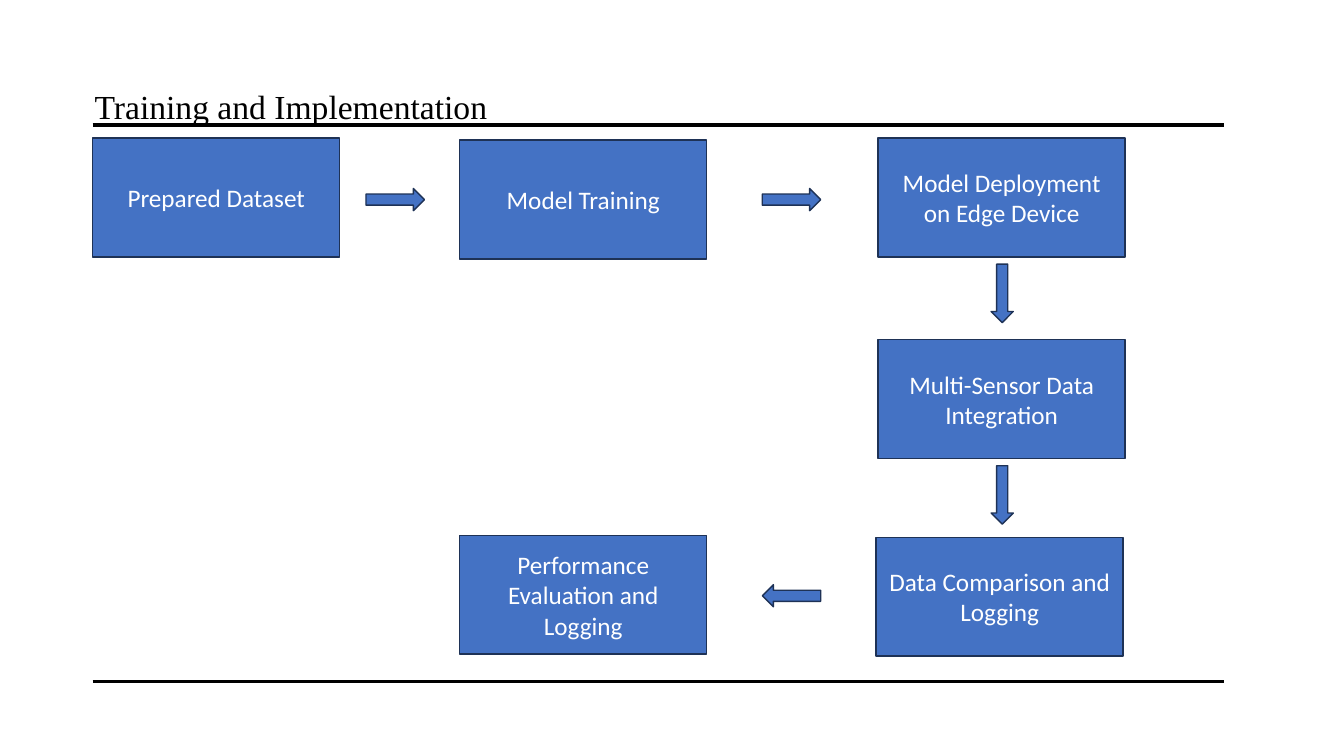
from dataclasses import dataclass

from lxml import etree
from pptx import Presentation
from pptx.dml.color import RGBColor
from pptx.enum.shapes import MSO_CONNECTOR, MSO_SHAPE
from pptx.enum.text import MSO_ANCHOR, MSO_AUTO_SIZE, PP_ALIGN
from pptx.oxml.ns import qn
from pptx.util import Inches, Pt

RECTANGLE = MSO_SHAPE.RECTANGLE
RIGHT_ARROW = MSO_SHAPE.RIGHT_ARROW
STRAIGHT = MSO_CONNECTOR.STRAIGHT
CENTER = PP_ALIGN.CENTER
LEFT = PP_ALIGN.LEFT
MIDDLE = MSO_ANCHOR.MIDDLE
GROW = MSO_AUTO_SIZE.SHAPE_TO_FIT_TEXT


@dataclass(frozen=True)
class Theme:
    """Colours, fonts, type sizes and line widths."""
    ink: RGBColor = RGBColor.from_string("000000")
    light: RGBColor = RGBColor.from_string("FFFFFF")
    fill: RGBColor = RGBColor.from_string("4472C4")
    outline: RGBColor = RGBColor.from_string("1E3256")
    title_font: str = "Times New Roman"
    body_font: str = "Calibri"
    title_size: float = 24
    body_size: float = 18
    rule_width: float = 2.25
    outline_width: float = 1


THEME = Theme()
STEP_WIDTH, STEP_HEIGHT = 2.45, 1.18
ARROW_WIDTH, ARROW_HEIGHT = 0.58, 0.22

STEPS = [
    ("Prepared Dataset", 0, 0.06),
    ("Model Training", 3.64, 0.08),
    ("Model Deployment on Edge Device", 7.79, 0.06),
    ("Multi-Sensor Data Integration", 7.79, 2.06),
    ("Data Comparison and Logging", 7.77, 4.02),
    ("Performance Evaluation and Logging", 3.64, 4),
]
ARROWS = [
    (3, 0.67, 0),
    (6.93, 0.67, 0),
    (9.02, 1.6, 90),
    (9.02, 3.6, 90),
    (6.93, 4.6, 180),
]


def write_text(frame, text, *, font, size, color, align=LEFT):
    """Write one formatted paragraph into a text frame."""
    frame.word_wrap = True
    para = frame.paragraphs[0]
    para.alignment = align
    span = para.add_run()
    span.text = text
    span.font.name = font
    span.font.size = Pt(size)
    span.font.color.rgb = color


def add_rule(page, left, top, width):
    """Draw a horizontal rule without a shadow."""
    rule = page.shapes.add_connector(
        STRAIGHT, Inches(left), Inches(top), Inches(left + width), Inches(top))
    rule.line.color.rgb = THEME.ink
    rule.line.width = Pt(THEME.rule_width)
    etree.SubElement(rule._element.spPr, qn("a:effectLst"))


def add_block(page, kind, left, top, width, height):
    """Draw a filled and outlined preset shape."""
    block = page.shapes.add_shape(
        kind, Inches(left), Inches(top), Inches(width), Inches(height))
    block.shadow.inherit = False
    block.fill.solid()
    block.fill.fore_color.rgb = THEME.fill
    block.line.color.rgb = THEME.outline
    block.line.width = Pt(THEME.outline_width)
    return block


def add_heading(page, left, top, width, height):
    """Place the slide title in its box."""
    box = page.shapes.add_textbox(
        Inches(left), Inches(top), Inches(width), Inches(height))
    write_text(box.text_frame, "Training and Implementation",
               font=THEME.title_font, size=THEME.title_size, color=THEME.ink)
    box.text_frame.auto_size = GROW


def add_workflow(page, left, top, width, height):
    """Place the steps and arrows between two rules."""
    for rule_top in (top, top + height):
        add_rule(page, left, rule_top, width)
    for label, across, down in STEPS:
        step = add_block(page, RECTANGLE, left + across, top + 0.07 + down,
                         STEP_WIDTH, STEP_HEIGHT)
        step.text_frame.vertical_anchor = MIDDLE
        write_text(step.text_frame, label, font=THEME.body_font,
                   size=THEME.body_size, color=THEME.light, align=CENTER)
    for across, down, angle in ARROWS:
        arrow = add_block(page, RIGHT_ARROW, left - 0.29 + across, top - 0.04 + down,
                          ARROW_WIDTH, ARROW_HEIGHT)
        arrow.left = Inches(left + across - ARROW_WIDTH / 2)
        arrow.left += Inches(ARROW_WIDTH / 2 - 0.29)
        arrow.rotation = angle


def main():
    """Build and save the deck."""
    deck = Presentation()
    deck.slide_width, deck.slide_height = Inches(13.33), Inches(7.5)
    page = deck.slides.add_slide(deck.slide_layouts[6])
    add_heading(page, 0.84, 0.8, 4.94, 0.5)
    add_workflow(page, 0.92, 1.24, 11.22, 5.52)
    deck.save("out.pptx")


if __name__ == "__main__":
    main()
